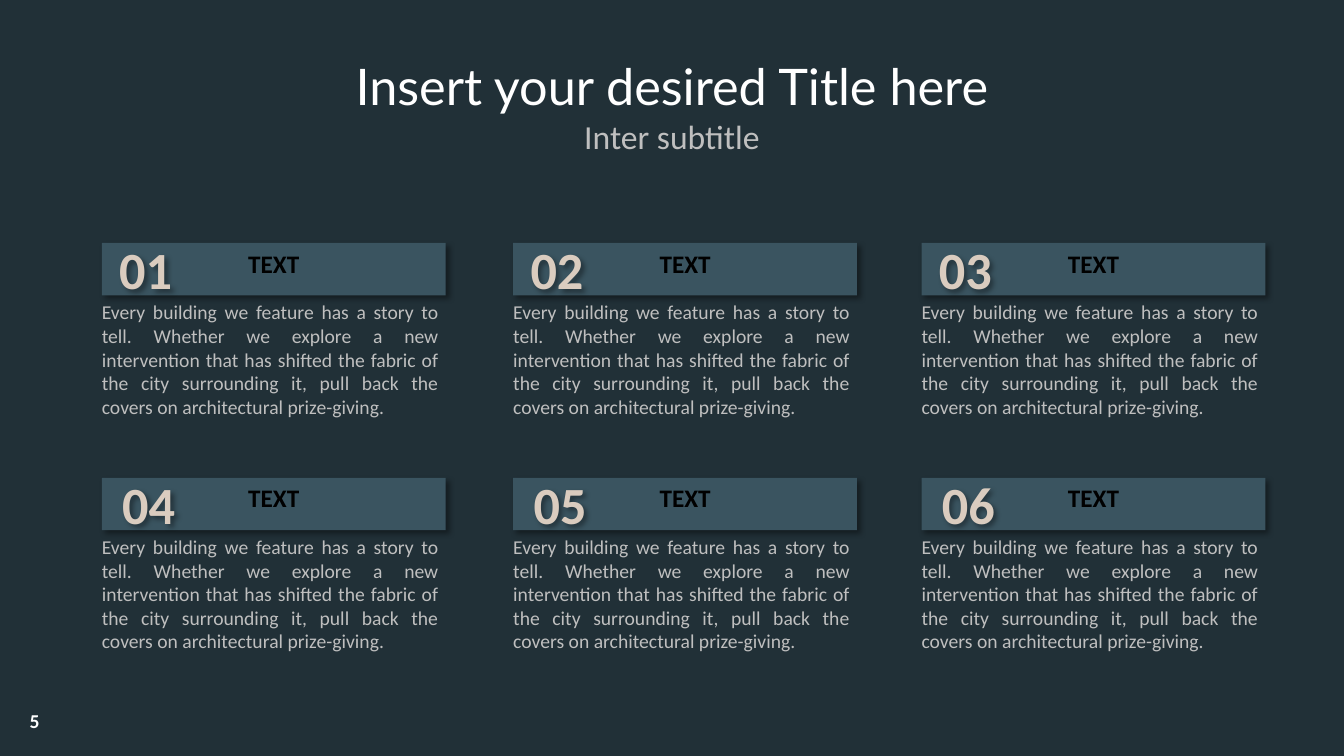
from dataclasses import dataclass

import pptx
import pptx.util
import pptx.dml.color
import pptx.enum.shapes
import pptx.enum.text
import pptx.oxml
from pptx.util import Inches

ALIGN = pptx.enum.text.PP_ALIGN
ANCHOR = pptx.enum.text.MSO_ANCHOR
AUTO = pptx.enum.text.MSO_AUTO_SIZE
SHAPE = pptx.enum.shapes.MSO_SHAPE


@dataclass(frozen=True)
class Theme:
    background: str = "213037"
    bar: str = "3A5460"
    white: str = "FFFFFF"
    grey: str = "BFBFBF"
    sand: str = "DACCBF"
    black: str = "000000"
    heading_font: str = "Lato"
    body_font: str = "Calibri"
    title_size: float = 36
    subtitle_size: float = 24
    number_size: float = 37.3
    label_size: float = 18
    body_size: float = 14


THEME = Theme()
BODY = ("Every building we feature has a story to tell. Whether we explore a new "
        "intervention that has shifted the fabric of the city surrounding it, pull "
        "back the covers on architectural prize-giving.")
COLUMNS = (1.01, 5.09, 9.14)
ROW_TOP, ROW_STEP = 2.41, 2.33
CARD_WIDTH = 3.41
SHADOW = (
    '<a:effectLst xmlns:a="http://schemas.openxmlformats.org/drawingml/2006/main">'
    '<a:outerShdw blurRad="50800" dist="38100" dir="2700000" algn="tl" rotWithShape="0">'
    '<a:srgbClr val="000000"><a:alpha val="40000"/></a:srgbClr>'
    '</a:outerShdw></a:effectLst>')


def rgb(color):
    return pptx.dml.color.RGBColor.from_string(color)


def set_all(target, values):
    for name, value in values.items():
        setattr(target, name, value)


def write(para, text, color, size, align, bold=False, font=THEME.body_font):
    para.alignment = align
    span = para.add_run()
    span.text = text
    set_all(span.font, {"name": font, "size": pptx.util.Pt(size), "bold": bold})
    span.font.color.rgb = rgb(color)


def format_frame(frame, insets=(0.1, 0.05), **values):
    side, end = (Inches(inset) for inset in insets)
    set_all(frame, {"word_wrap": True, "auto_size": AUTO.NONE,
                    "vertical_anchor": ANCHOR.TOP,
                    "margin_left": side, "margin_right": side,
                    "margin_top": end, "margin_bottom": end, **values})


def add_shadowed_shape(shapes, kind, box, fill=None):
    shape = shapes.add_shape(kind, *map(Inches, box))
    if fill:
        shape.fill.solid()
        shape.fill.fore_color.rgb = rgb(fill)
    else:
        shape.fill.background()
    shape.line.fill.background()
    shape._element.spPr.append(pptx.oxml.parse_xml(SHADOW))
    return shape


def add_heading(page, box):
    title = page.shapes.title
    set_all(title, dict(zip(("left", "top", "width", "height"), map(Inches, box))))
    frame = title.text_frame
    format_frame(frame)
    write(frame.paragraphs[0], "Insert your desired Title here", THEME.white,
          THEME.title_size, ALIGN.CENTER, font=THEME.heading_font)
    write(frame.add_paragraph(), "Inter subtitle", THEME.grey,
          THEME.subtitle_size, ALIGN.CENTER)


def add_card(page, left, top, number, number_shift):
    """Group a body text, a labelled bar and a number around the bar's corner."""
    shapes = page.shapes.add_group_shape().shapes

    body = shapes.add_textbox(Inches(left - 0.07), Inches(top + 0.54),
                              Inches(CARD_WIDTH + 0.07), Inches(1.25)).text_frame
    format_frame(body, (0.07, 0.03), auto_size=AUTO.SHAPE_TO_FIT_TEXT)
    write(body.paragraphs[0], BODY, THEME.grey, THEME.body_size, ALIGN.JUSTIFY)

    bar = add_shadowed_shape(shapes, SHAPE.RECTANGLE, (left, top, CARD_WIDTH, 0.52),
                             THEME.bar).text_frame
    format_frame(bar)
    write(bar.paragraphs[0], "TEXT", THEME.black, THEME.label_size, ALIGN.CENTER, True)

    badge = add_shadowed_shape(shapes, SHAPE.OVAL,
                               (left - 0.22 + number_shift, top - 0.4, 1.31, 1.31)).text_frame
    format_frame(badge, (0.13, 0.07), word_wrap=False, vertical_anchor=ANCHOR.MIDDLE)
    write(badge.paragraphs[0], f"{number:02}", THEME.sand, THEME.number_size,
          ALIGN.CENTER, True)


def add_page_number(page, box):
    frame = page.shapes.add_textbox(*map(Inches, box)).text_frame
    format_frame(frame, vertical_anchor=ANCHOR.MIDDLE)
    write(frame.paragraphs[0], "5", THEME.white, THEME.body_size, ALIGN.RIGHT, True)


def main():
    deck = pptx.Presentation()
    deck.slide_width, deck.slide_height = Inches(13.33), Inches(7.5)
    page = deck.slides.add_slide(deck.slide_layouts.get_by_name("Title Only"))
    page.background.fill.solid()
    page.background.fill.fore_color.rgb = rgb(THEME.background)

    add_heading(page, (0, 0.5, 13.33, 1.25))
    for index in range(6):
        row, column = divmod(index, len(COLUMNS))
        add_card(page, COLUMNS[column], ROW_TOP + row * ROW_STEP, index + 1, row * 0.03)
    add_page_number(page, (0, 6.95, 0.49, 0.4))
    deck.save("out.pptx")


if __name__ == "__main__":
    main()
